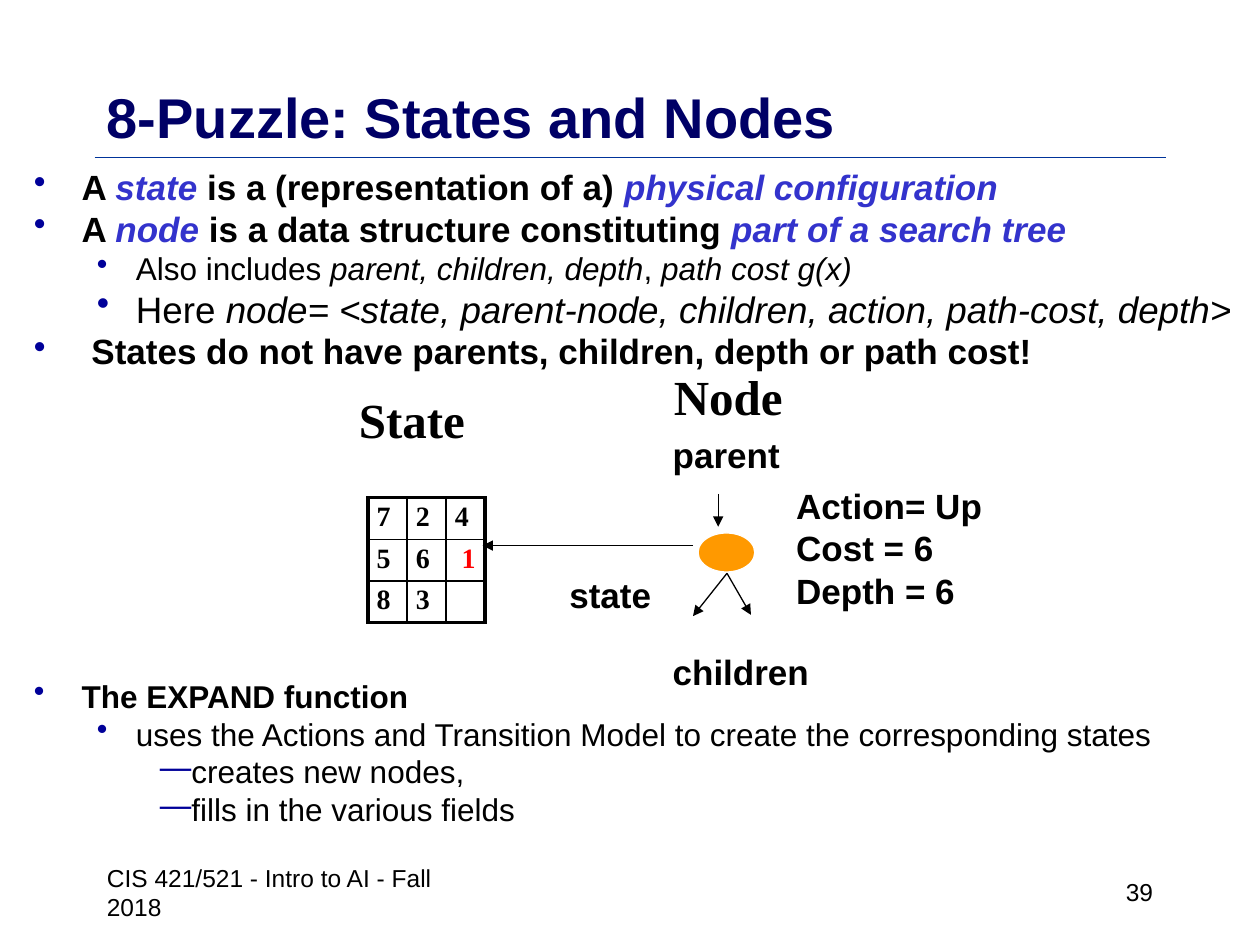
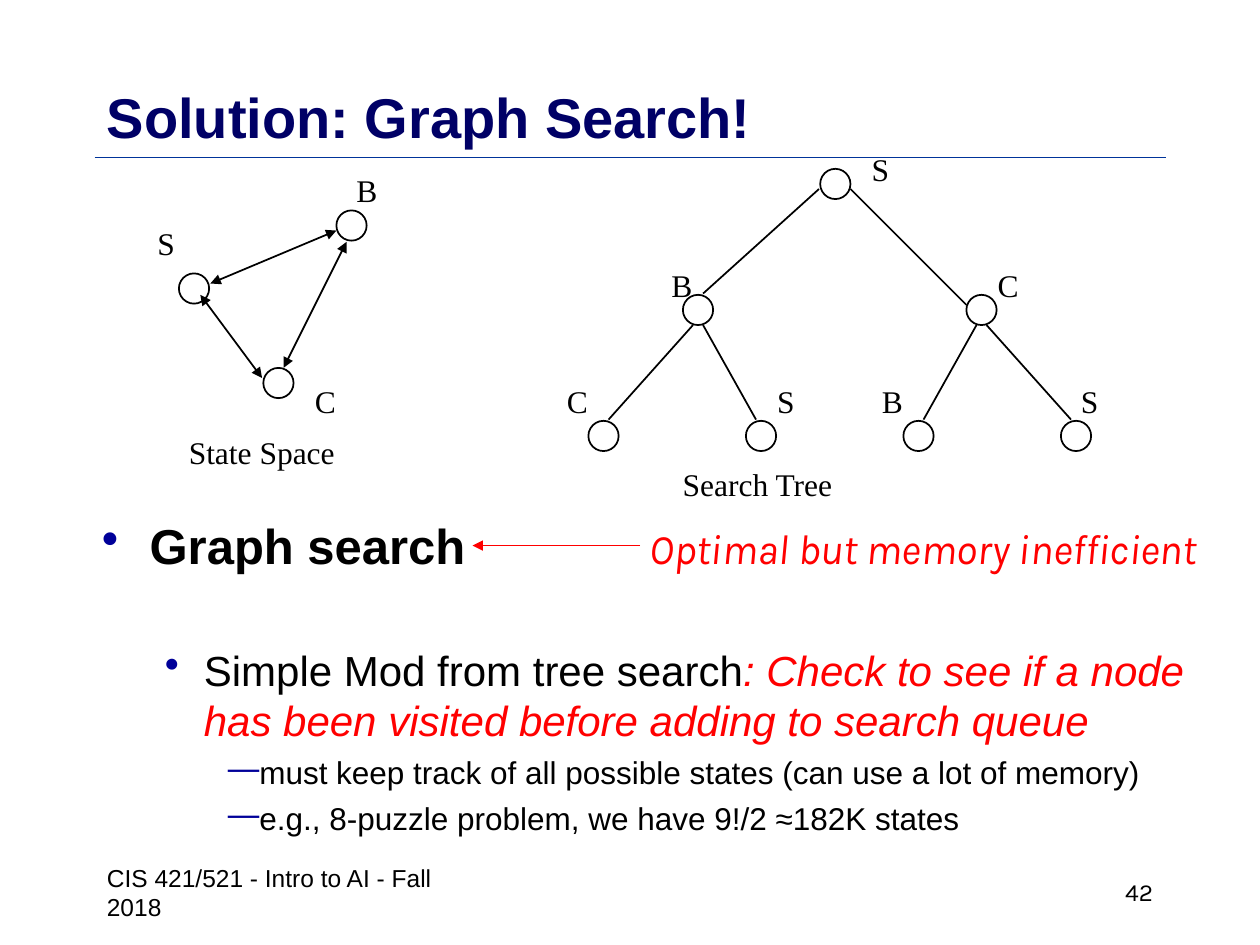
"""Builds two lecture slides on search: puzzle states and nodes, then graph search."""
from lxml import etree
from pptx import Presentation
from pptx import util as u
from pptx.dml.color import RGBColor
from pptx.enum import shapes, text
from pptx.oxml.ns import qn

SCALE = 9144
BLACK = RGBColor(0, 0, 0)
WHITE = RGBColor(255, 255, 255)
RED = RGBColor(255, 0, 0)
NAVY = RGBColor(0, 0, 0x66)
RULE_BLUE = RGBColor(0, 0x33, 0x99)
TERM_BLUE = RGBColor(0x33, 0x33, 0xCC)
ORANGE = RGBColor(255, 0x99, 0)
BULLET_BLUE = "000099"
SANS, SERIF, HAND = "Arial", "Times New Roman", "Karla"
LEVELS = [(38, -38, "•"), (81, -31, "•"), (125, -25, "—")]
COURSE = "CIS 421/521 - Intro to AI - Fall 2018"


def px(length):
    return u.Emu(length * SCALE)


def child(parent, tag, **attributes):
    return etree.SubElement(parent, qn(tag), attributes)


class Deck:
    """Holds the shared style and the slide being drawn."""

    def __init__(self):
        self.file = Presentation()
        self.file.slide_width, self.file.slide_height = px(1000), px(750)
        self.slide = None

    def start(self, title, number, number_font=SANS):
        self.slide = self.file.slides.add_slide(self.file.slide_layouts[6])
        self.line((75, 125), (925, 125), RULE_BLUE)
        middle = text.MSO_ANCHOR.MIDDLE
        self.label((75, 67, 850, 50), title, 32, color=NAVY, bold=True,
                   wrap=True, anchor=middle)
        self.label((75, 683, 283, 50), COURSE, 14, anchor=middle)
        page = self.label((717, 683, 208, 50), number, 14, number_font, anchor=middle)
        page.paragraphs[0].alignment = text.PP_ALIGN.RIGHT

    def format(self, run, size, font=SANS, color=BLACK, bold=False, italic=False):
        run.font.size, run.font.name = u.Pt(size), font
        run.font.bold, run.font.italic = bold, italic
        run.font.color.rgb = color

    def frame(self, box, wrap, anchor=text.MSO_ANCHOR.TOP):
        frame = self.slide.shapes.add_textbox(*map(px, box)).text_frame
        frame.word_wrap, frame.vertical_anchor = wrap, anchor
        return frame

    def label(self, box, words, size, font=SANS, color=BLACK, bold=False,
              italic=False, wrap=False, anchor=text.MSO_ANCHOR.TOP):
        frame = self.frame(box, wrap, anchor)
        frame.text = words
        for paragraph in frame.paragraphs:
            self.format(paragraph.runs[0], size, font, color, bold, italic)
        return frame

    def outline(self, box, points, spacing=1.0):
        """Writes points given as (level, size, space before, pieces)."""
        frame = self.frame(box, True)
        for index, (level, size, before, pieces) in enumerate(points):
            paragraph = frame.add_paragraph() if index else frame.paragraphs[0]
            margin, indent, mark = LEVELS[level]
            properties = paragraph._p.get_or_add_pPr()
            properties.set("marL", str(px(margin)))
            properties.set("indent", str(px(indent)))
            child(child(properties, "a:buClr"), "a:srgbClr", val=BULLET_BLUE)
            child(properties, "a:buChar", char=mark)
            paragraph.line_spacing = spacing
            if index:
                paragraph.space_before = u.Pt(before)
            for words, color, italic in pieces:
                run = paragraph.add_run()
                run.text = words
                self.format(run, size, SANS, color, level == 0, italic)

    def ellipse(self, box, fill=None, border=BLACK, width=1):
        oval = self.slide.shapes.add_shape(shapes.MSO_SHAPE.OVAL, *map(px, box))
        oval.shadow.inherit = False
        if fill is None:
            oval.fill.background()
        else:
            oval.fill.solid()
            oval.fill.fore_color.rgb = fill
        oval.line.color.rgb, oval.line.width = border, u.Pt(width)

    def line(self, start, end, color=BLACK, width=1, arrows=()):
        stroke = self.slide.shapes.add_connector(
            shapes.MSO_CONNECTOR.STRAIGHT, *map(px, start + end))
        stroke.line.color.rgb, stroke.line.width = color, u.Pt(width)
        for arrow in arrows:
            child(stroke.line._get_or_add_ln(), arrow, type="triangle")
        child(stroke._element.spPr, "a:effectLst")

    def border(self, cell, sides):
        for side, width in sides.items():
            edge = child(cell._tc.get_or_add_tcPr(), "a:ln" + side, w=str(u.Pt(width)))
            child(child(edge, "a:solidFill"), "a:srgbClr", val=str(BLACK))

    def puzzle(self, corner, rows, moved):
        count = len(rows)
        grid = self.slide.shapes.add_table(
            count, count, *map(px, corner + (31 * count, 33 * count))).table
        grid.first_row = grid.horz_banding = False
        for i in range(count):
            grid.columns[i].width, grid.rows[i].height = px(31), px(33)
        weight = {True: 2.25, False: 1}
        last = count - 1
        for r, row in enumerate(rows):
            for c, tile in enumerate(row):
                cell = grid.cell(r, c)
                cell.margin_left, cell.margin_right = px(7), px(5)
                cell.margin_top = cell.margin_bottom = px(3)
                self.border(cell, {"L": weight[c == 0], "R": weight[c == last],
                                   "T": weight[r == 0], "B": weight[r == last]})
                cell.fill.background()
                if tile:
                    cell.text = tile
                    color = RED if tile == moved else BLACK
                    self.format(cell.text_frame.paragraphs[0].runs[0], 16, SERIF,
                                color, True)
                else:
                    child(cell.text_frame.paragraphs[0]._p, "a:endParaRPr", sz="1600")


HEAD, TAIL = "a:headEnd", "a:tailEnd"


def plain(words):
    return (words, BLACK, False)


def term(words, color=TERM_BLUE):
    return (words, color, True)


def states_and_nodes(deck):
    deck.start("8-Puzzle: States and Nodes", "39")
    deck.outline((17, 133, 975, 170), [
        (0, 20, 0, [plain("A "), term("state "), plain("is a (representation of a) "),
                    term("physical configuration")]),
        (0, 20, 4.5, [plain("A "), term("node "),
                      plain("is a data structure constituting "),
                      term("part of a search tree")]),
        (1, 18, 4.5, [plain("Also includes "), term("parent, children, depth", BLACK),
                      plain(", "), term("path cost g(x)", BLACK)]),
        (1, 21, 4.5, [plain("Here "), term(
            "node= <state, parent-node, children, action, path-cost, depth>", BLACK)]),
        (0, 20, 4.5, [plain(" States do not have parents, children, depth or path cost!")]),
    ], 0.8)
    deck.outline((17, 538, 975, 130), [
        (0, 18, 0, [plain("The EXPAND function")]),
        (1, 18, 4.3, [plain("uses the Actions and Transition Model to create "
                            "the corresponding states")]),
        (2, 18, 4.3, [plain("creates new nodes,")]),
        (2, 18, 4.3, [plain("fills in the various fields")]),
    ], 0.8)

    deck.ellipse((554, 423, 45, 31), ORANGE, WHITE, 0.75)
    for start, end in [((570, 392), (570, 418)), ((577, 455), (550, 489)),
                       ((577, 455), (596, 488)), ((550, 433), (383, 433))]:
        deck.line(start, end, width=0.75, arrows=[TAIL])
    for box, words in [((524, 339, 105, 43), "parent"), ((524, 511, 128, 43), "children"),
                       ((442, 450, 85, 43), "state"),
                       ((622, 380, 168, 110), "Action= Up\nCost = 6\nDepth = 6")]:
        deck.label(box, words, 20, bold=True)
    for left, top, heading in [(525, 286, "Node"), (275, 304, "State")]:
        deck.label((left, top, 125, 57), heading, 28, SERIF, bold=True, wrap=True)
    deck.puzzle((292, 395), [["7", "2", "4"], ["5", "6", " 1"], ["8", "3", ""]], " 1")


def graph_search(deck):
    deck.start("Solution: Graph Search!", "42", HAND)
    deck.outline((71, 404, 888, 304), [
        (0, 28, 0, [plain("Graph search")]),
        (1, 24, 40, [plain("Simple Mod from tree search"),
                     term(": Check to see if a node has been visited before "
                          "adding to search queue", RED)]),
        (2, 18, 4.8, [plain("must keep track of all possible states "
                            "(can use a lot of memory)")]),
        (2, 18, 4.5, [plain("e.g., 8-puzzle problem, we have 9!/2 ≈182K states")]),
    ])

    space_nodes = [("S", (142, 217), (115, 173)), ("C", (209, 292), (240, 298)),
                   ("B", (267, 167), (273, 131))]
    tree_nodes = [("S", (651, 134), (682, 114)), ("B", (542, 234), (523, 206)),
                  ("C", (767, 234), (782, 206))]
    leaves = zip("CSBS", range(467, 843, 125), (440, 607, 690, 848))
    tree_nodes += [(name, (left, 334), (label_left, 298))
                   for name, left, label_left in leaves]
    for name, circle, spot in space_nodes + tree_nodes:
        deck.ellipse(circle + (24, 24))
        deck.label(spot + (36, 40), name, 18, SERIF)

    for start, end in [((167, 225), (267, 183)), ((275, 192), (225, 292)),
                       ((159, 234), (208, 300))]:
        deck.line(start, end, arrows=[HEAD, TAIL])
    for start, end in [((650, 150), (558, 233)), ((675, 150), (767, 242)),
                       ((550, 258), (483, 333)), ((558, 258), (600, 333)),
                       ((775, 258), (733, 333)), ((783, 258), (850, 333))]:
        deck.line(start, end)

    deck.label((140, 339, 136, 40), "State Space", 18, SERIF)
    deck.label((532, 364, 140, 40), "Search Tree", 18, SERIF)
    deck.line((508, 433), (375, 433), RED, 0.75, [TAIL])
    deck.label((506, 410, 481, 50), "Optimal but memory inefficient", 24, HAND, RED,
               italic=True)


def main():
    deck = Deck()
    states_and_nodes(deck)
    graph_search(deck)
    deck.file.save("out.pptx")


if __name__ == "__main__":
    main()
